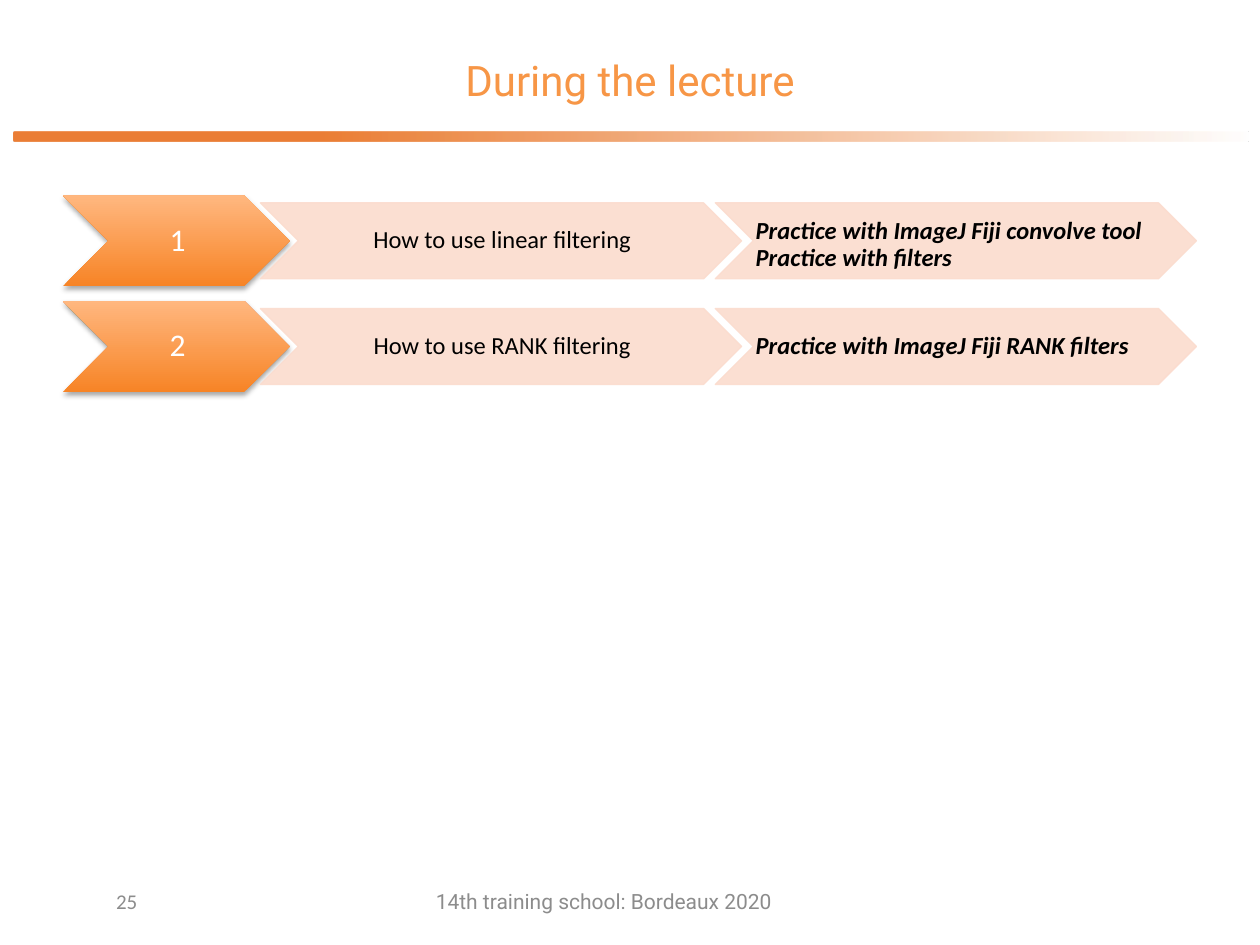
import pptx
import pptx.dml.color
import pptx.enum.shapes
import pptx.enum.text
import pptx.oxml
import pptx.oxml.ns
import pptx.util

Cm = pptx.util.Cm
Pt = pptx.util.Pt
SHAPE = pptx.enum.shapes.MSO_SHAPE
ALIGN = pptx.enum.text.PP_ALIGN
MIDDLE = pptx.enum.text.MSO_ANCHOR.MIDDLE

COLORS = {
    "title": "F79646",
    "bar": "E65D00",
    "white": "FFFFFF",
    "black": "000000",
    "footer": "8C8C8C",
    "dark": "F78426",
    "light": "FFB77F",
    "pale": "FBDCCE",
}

STEPS = [
    ("1", "How to use linear filtering",
     ["Practice with ImageJ Fiji convolve tool", "Practice with filters"], 0.2),
    ("2", "How to use RANK filtering",
     ["Practice with ImageJ Fiji RANK filters"], 0.03),
]


def rgb(name):
    """Return the named colour."""
    return pptx.dml.color.RGBColor.from_string(COLORS[name])


def set_alpha(sp, percent):
    """Make every colour of a shape's fill and line partly transparent."""
    for clr in sp._element.spPr.iter(pptx.oxml.ns.qn("a:srgbClr")):
        alpha = pptx.oxml.parse_xml(
            f'<a:alpha {pptx.oxml.ns.nsdecls("a")} val="{percent * 1000}"/>')
        clr.append(alpha)


def add_shadow(sp):
    """Give a shape a soft shadow straight below it."""
    effects = sp._element.spPr.find(pptx.oxml.ns.qn("a:effectLst"))
    effects.append(pptx.oxml.parse_xml(
        f'<a:outerShdw {pptx.oxml.ns.nsdecls("a")} blurRad="40000" dist="23000" '
        'dir="5400000" rotWithShape="0"><a:srgbClr val="000000">'
        '<a:alpha val="35000"/></a:srgbClr></a:outerShdw>'))


def set_gradient(sp, stops, angle):
    """Fill a shape with a two-stop linear gradient."""
    sp.fill.gradient()
    sp.fill.gradient_angle = angle
    for stop, (position, color) in zip(sp.fill.gradient_stops, stops):
        stop.position = position
        stop.color.rgb = rgb(color)


def write(sp, lines, size, color, align=ALIGN.CENTER, margins=None, spacing=None, **font):
    """Write formatted lines, centred vertically, into a shape."""
    tf = sp.text_frame
    frame = {"word_wrap": True, "vertical_anchor": MIDDLE, **(margins or {})}
    for name, value in frame.items():
        setattr(tf, name, value)
    tf.text = "\n".join(lines)
    for p in tf.paragraphs:
        p.alignment = align
        p.line_spacing = spacing
        for r in p.runs:
            for name, value in {"name": "Calibri", "size": Pt(size), **font}.items():
                setattr(r.font, name, value)
            r.font.color.rgb = rgb(color)


def add_shape(s, kind, box, adjustment):
    """Add a preset shape without outline or shadow."""
    sp = s.shapes.add_shape(kind, *map(Cm, box))
    sp.adjustments[0] = adjustment
    sp.shadow.inherit = False
    sp.line.fill.background()
    return sp


def add_header(s, left, top, width):
    """Place the title and the fading bar under it."""
    bar = add_shape(s, SHAPE.ROUNDED_RECTANGLE, (left, top + 1.9, width, 0.2), 0.17)
    set_gradient(bar, [(0.25, "bar"), (1, "white")], 0)
    set_alpha(bar, 79)
    title = s.shapes.title
    box = {"left": left + 0.99, "top": top, "width": 22.86, "height": 1.68}
    for name, value in box.items():
        setattr(title, name, Cm(value))
    write(title, ["During the lecture"], 24, "title", name="Roboto")


def add_step(s, left, top, number, topic, practice, drop):
    """Place one row: a numbered chevron, its topic and its practice."""
    text = {"margin_left": Cm(0.05), "margin_top": Cm(0.03),
            "margin_right": 0, "margin_bottom": Cm(0.03)}
    sp = add_shape(s, SHAPE.CHEVRON, (left, top, 4.57, 1.83), 0.5)
    set_gradient(sp, [(0, "dark"), (1, "light")], 90)
    add_shadow(sp)
    write(sp, [number], 18, "white", margins=text, spacing=0.9)

    practice_text = {**text, "margin_top": Cm(drop)}
    cells = [
        ([topic], {"margins": text}),
        (practice, {"margins": practice_text, "align": ALIGN.LEFT,
                    "bold": True, "italic": True}),
    ]
    for i, (lines, style) in enumerate(cells):
        box = (left + 3.98 + 9.17 * i, top + 0.15, 9.7, 1.53)
        sp = add_shape(s, SHAPE.CHEVRON, box, 0.5)
        sp.fill.solid()
        sp.fill.fore_color.rgb = rgb("pale")
        sp.line.color.rgb = rgb("pale")
        sp.line.width = Pt(0.75)
        set_alpha(sp, 90)
        write(sp, lines, 14, "black", spacing=0.9, **style)


def add_footer(s, left, top, height):
    """Place the slide number and the event name."""
    number = s.shapes.add_textbox(Cm(left), Cm(top), Cm(1.75), Cm(height))
    write(number, ["25"], 12, "footer", align=ALIGN.RIGHT)
    event = s.shapes.add_textbox(Cm(left + 1.75), Cm(top), Cm(18.31), Cm(height))
    write(event, ["14th training school: Bordeaux 2020"], 12, "footer", name="Roboto")


def main():
    """Build the slide and save it."""
    prs = pptx.Presentation()
    prs.slide_width, prs.slide_height = Cm(25.4), Cm(19.05)
    s = prs.slides.add_slide(prs.slide_layouts[5])
    add_header(s, 0.28, 0.76, 24.89)
    for i, step in enumerate(STEPS):
        add_step(s, 1.27, 3.94 + 2.13 * i, *step)
    add_footer(s, 1.27, 17.66, 1)
    prs.save("out.pptx")


if __name__ == "__main__":
    main()
